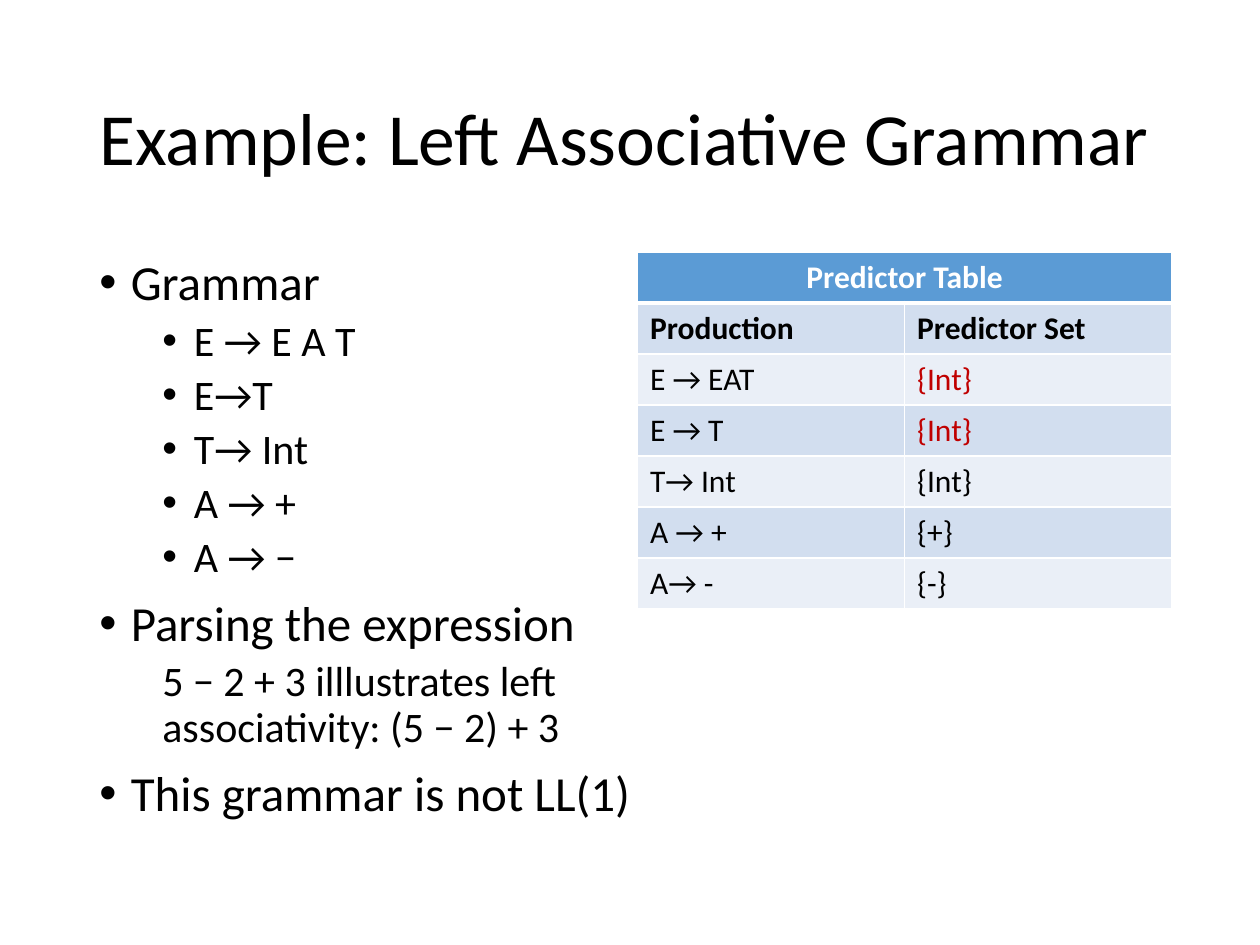
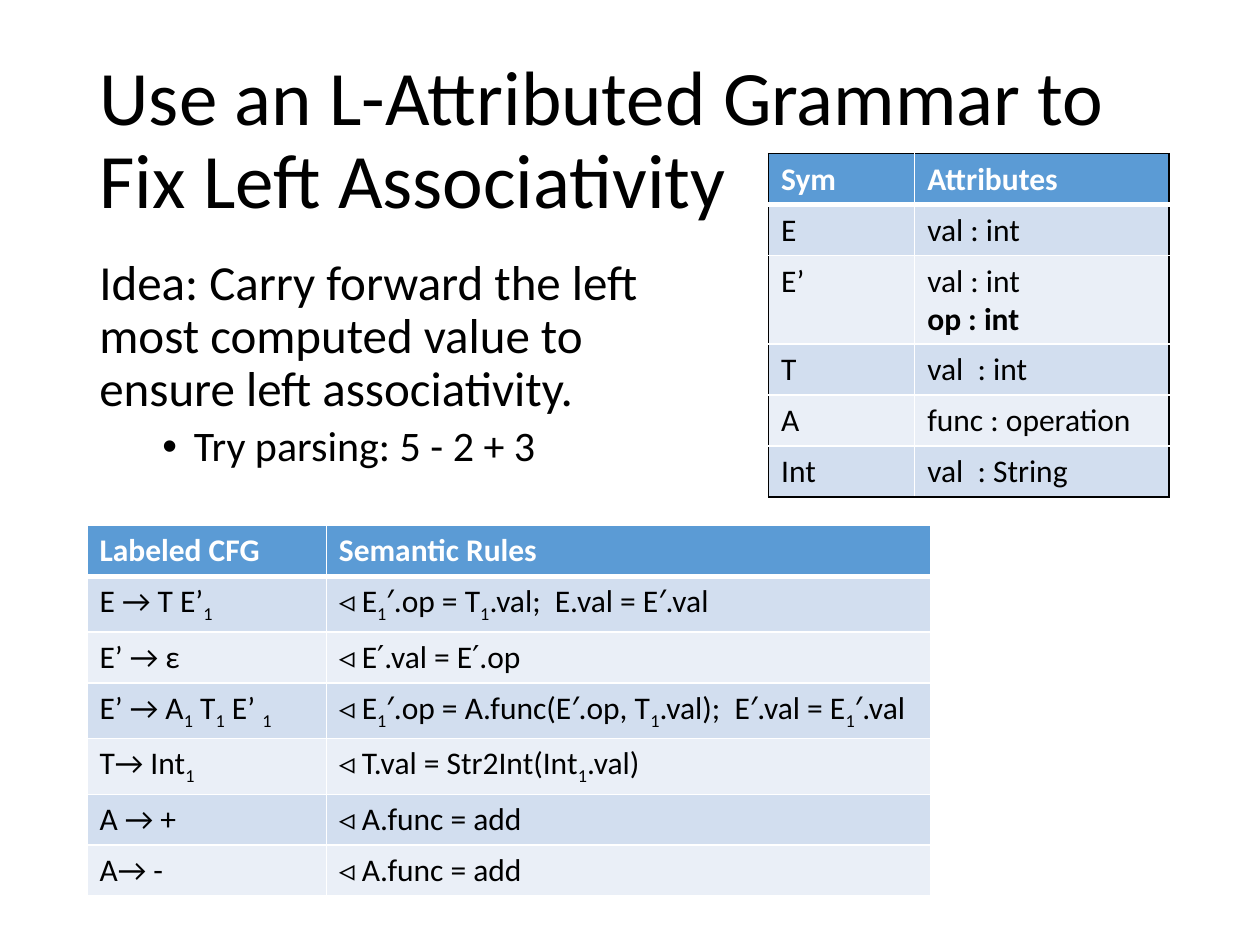
"""Build two slides on left associative grammars."""
from lxml.etree import SubElement
from pptx import Presentation
from pptx.dml.color import RGBColor
from pptx.enum.text import MSO_ANCHOR, MSO_AUTO_SIZE, PP_ALIGN
from pptx.oxml.ns import qn
from pptx.util import Inches, Pt

FONT = "Calibri"
COLORS = {
    "text": "000000",
    "white": "FFFFFF",
    "header": "5B9BD5",
    "band_dark": "D2DEEF",
    "band_light": "EAEFF7",
    "conflict": "C00000",
}
WIDTH, HEIGHT = 10, 7.5
MARGIN = 0.69
BODY_TOP = 2
ROW_HEIGHT = 0.405

LEVELS = {
    "head": dict(level=0, size=28, before=10, left=0.25, bullet=True),
    "item": dict(level=1, size=24, before=5, left=0.75, bullet=True),
    "lead": dict(level=0, size=28, before=10, left=0, bullet=False),
    "note": dict(level=1, size=24, before=5, left=0.5, bullet=False),
}


def rgb(name):
    return RGBColor.from_string(COLORS[name])


def style_run(r, size, color="text", bold=False):
    r.font.name = FONT
    r.font.size = Pt(size)
    r.font.bold = bold
    r.font.color.rgb = rgb(color)


def add_title(prs, text, size):
    """Add a title-only slide and return it."""
    slide = prs.slides.add_slide(prs.slide_layouts[5])
    sp = slide.shapes.title
    sp.left, sp.top = Inches(MARGIN), Inches(0.4)
    sp.width, sp.height = Inches(WIDTH - 2 * MARGIN), Inches(1.45)
    tf = sp.text_frame
    tf.text = text
    tf.word_wrap = True
    tf.auto_size = MSO_AUTO_SIZE.NONE
    tf.vertical_anchor = MSO_ANCHOR.MIDDLE
    p = tf.paragraphs[0]
    p.alignment = PP_ALIGN.LEFT
    p.line_spacing = 0.9
    style_run(p.runs[0], size)
    return slide


def set_indent(p, left, bullet):
    """Set the left margin and either hang a bullet or show none."""
    pPr = p._p.get_or_add_pPr()
    pPr.set("marL", str(Inches(left)))
    pPr.set("indent", str(Inches(-0.25 if bullet else 0)))
    if bullet:
        SubElement(pPr, qn("a:buFont"), typeface="Arial")
        SubElement(pPr, qn("a:buChar"), char="•")
    else:
        SubElement(pPr, qn("a:buNone"))


def add_body(slide, width, lines):
    """Add the outline text; each line is a level name and its text."""
    sp = slide.shapes.add_textbox(Inches(MARGIN), Inches(BODY_TOP),
                                  Inches(width), Inches(4.76))
    tf = sp.text_frame
    tf.word_wrap = True
    for i, (kind, text) in enumerate(lines):
        level = LEVELS[kind]
        p = tf.add_paragraph() if i else tf.paragraphs[0]
        p.text = text
        p.level = level["level"]
        p.line_spacing = 0.9
        p.space_before = Pt(level["before"])
        set_indent(p, level["left"], level["bullet"])
        style_run(p.runs[0], level["size"])


def fill_text(cell, text, color, bold):
    """Write cell text: * starts a bold line, _ lowers the next character."""
    tf = cell.text_frame
    for i, line in enumerate(text.split("\n")):
        p = tf.add_paragraph() if i else tf.paragraphs[0]
        strong = bold or line.startswith("*")
        first, *rest = line.removeprefix("*").split("_")
        pieces = [(first, False)]
        for part in rest:
            pieces += [(part[0], True), (part[1:], False)]
        for piece, lowered in pieces:
            if piece:
                r = p.add_run()
                r.text = piece
                style_run(r, 18, color, strong)
                if lowered:
                    r.font._element.set("baseline", "-25000")


def set_borders(cell, row, col, n_rows, n_cols, framed):
    """Draw white cell lines, a thick one under the header, and any frame."""
    outer = {"L": col == 0, "R": col == n_cols - 1,
             "T": row == 0, "B": row == n_rows - 1}
    thick = {"B": row == 0, "T": row == 1}
    tcPr = cell._tc.get_or_add_tcPr()
    for side, is_outer in outer.items():
        width = Pt(3 if thick.get(side) else 1)
        ln = SubElement(tcPr, qn(f"a:ln{side}"), w=str(width))
        color = COLORS["text" if framed and is_outer else "white"]
        SubElement(SubElement(ln, qn("a:solidFill")), qn("a:srgbClr"), val=color)


def add_banded_table(slide, left, top, widths, rows, framed=False, conflicts=()):
    """Add a banded table; a header with a single text spans all columns."""
    n_rows, n_cols = len(rows), len(widths)
    table = slide.shapes.add_table(
        n_rows, n_cols, Inches(left), Inches(top),
        Inches(sum(widths)), Inches(n_rows * ROW_HEIGHT)).table
    for column, width in zip(table.columns, widths):
        column.width = Inches(width)
    for i, texts in enumerate(rows):
        table.rows[i].height = Inches(ROW_HEIGHT)
        band = "header" if i == 0 else ("band_light", "band_dark")[i % 2]
        for j in range(n_cols):
            cell = table.cell(i, j)
            set_borders(cell, i, j, n_rows, n_cols, framed)
            cell.fill.solid()
            cell.fill.fore_color.rgb = rgb(band)
            if j < len(texts):
                color = "conflict" if (i, j) in conflicts else "text"
                fill_text(cell, texts[j], color if i else "white", i == 0)
    if len(rows[0]) < n_cols:
        table.cell(0, 0).merge(table.cell(0, n_cols - 1))
        table.cell(0, 0).text_frame.paragraphs[0].alignment = PP_ALIGN.CENTER


def build_example(prs):
    slide = add_title(prs, "Example: Left Associative Grammar", 42)
    add_body(slide, 4.56, [
        ("head", "Grammar"),
        ("item", "E → E A T "),
        ("item", "E→T "),
        ("item", "T→ Int "),
        ("item", "A → + "),
        ("item", "A → − "),
        ("head", "Parsing the expression"),
        ("note", "5 − 2 + 3 illlustrates left associativity: (5 − 2) + 3 "),
        ("head", "This grammar is not LL(1)"),
    ])
    add_banded_table(slide, 5.06, BODY_TOP, [2.12, 2.12], [
        ["Predictor Table"],
        ["*Production", "*Predictor Set"],
        ["E → EAT ", "{Int}"],
        ["E → T ", "{Int}"],
        ["T→ Int ", "{Int}"],
        ["A → +", "{+}"],
        ["A→ -", "{-}"],
    ], conflicts={(2, 1), (3, 1)})


def build_attributed(prs):
    slide = add_title(
        prs, "Use an L-Attributed Grammar to Fix Left Associativity", 44)
    add_body(slide, 4.51, [
        ("lead", "Idea: Carry forward the left most computed value "
                 "to ensure left associativity."),
        ("item", "Try parsing: 5 - 2 + 3"),
    ])
    productions = ["Labeled CFG ", "E → T E’_1 ", "E’ → ε ",
                   "E’ → A_1 T_1 E’ _1", "T→ Int_1 ", "A → +", "A→ -"]
    rules = ["Semantic Rules",
             "◃ E_1′.op = T_1.val;  E.val = E′.val ",
             "◃ E′.val = E′.op ",
             "◃ E_1′.op = A.func(E′.op, T_1.val);  E′.val = E_1′.val ",
             "◃ T.val = Str2Int(Int_1.val) ",
             "◃ A.func = add ",
             "◃ A.func = add "]
    left = MARGIN
    for width, texts in ((1.9, productions), (4.8, rules)):
        add_banded_table(slide, left, 4.17, [width], [[t] for t in texts])
        left += width
    add_banded_table(slide, 6.1, 1.22, [1.16, 2.02], [
        ["Sym", "Attributes"],
        ["E", "val : int"],
        ["E’", "val : int\n*op : int"],
        ["T", "val  : int "],
        ["A", "func : operation"],
        ["Int", "val  : String "],
    ], framed=True)


def main():
    prs = Presentation()
    prs.slide_width, prs.slide_height = Inches(WIDTH), Inches(HEIGHT)
    build_example(prs)
    build_attributed(prs)
    prs.save("out.pptx")


main()
